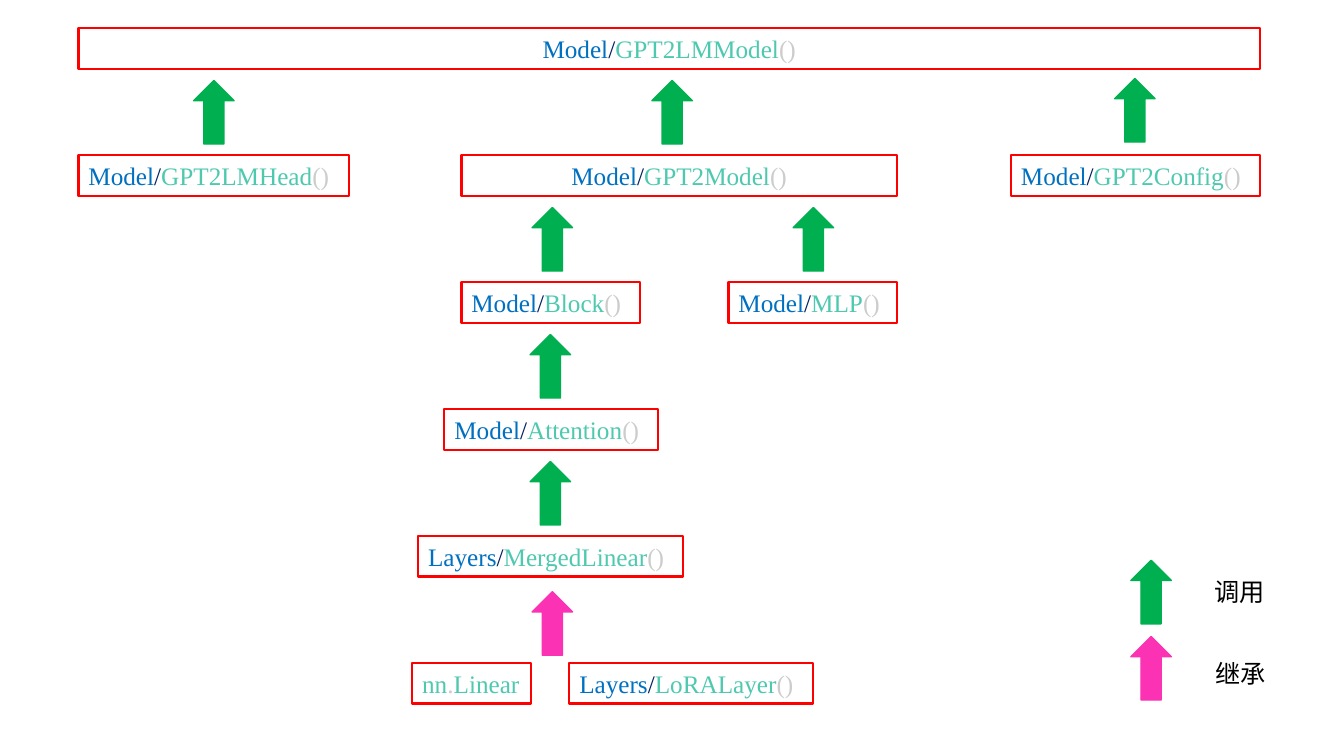
import pptx
import pptx.dml.color
import pptx.enum.shapes
import pptx.enum.text
import pptx.oxml.ns
import pptx.util
from lxml import etree

Cm = pptx.util.Cm
COLOURS = {
    "module": "0070C0",
    "slash": "002060",
    "name": "4EC9B0",
    "mark": "CCCCCC",
    "border": "FF0000",
    "call": "00B050",
    "inherit": "FA32B3",
    "label": "000000",
}
LATIN = "Times New Roman"
CHINESE = "Noto Sans CJK SC"
LEFT = pptx.enum.text.PP_ALIGN.LEFT
CENTRE = pptx.enum.text.PP_ALIGN.CENTER
BOX_HEIGHT = 1.02
ROW_STEP = 3.2
ARROW_WIDTH, ARROW_HEIGHT = 1.02, 1.6

CLASS_ROWS = [
    [("Model/GPT2LMModel()", 0, 29.77, True)],
    [("Model/GPT2LMHead()", 0, 6.81, False),
     ("Model/GPT2Model()", 9.65, 10.97, True),
     ("Model/GPT2Config()", 23.5, 6.27, False)],
    [("Model/Block()", 9.65, 4.5, False),
     ("Model/MLP()", 16.38, 4.24, False)],
    [("Model/Attention()", 9.22, 5.38, False)],
    [("Layers/MergedLinear()", 8.56, 6.68, False)],
    [("nn.Linear", 8.41, 3, False),
     ("Layers/LoRALayer()", 12.37, 6.15, False)],
]
ARROW_ROWS = [
    [(2.9, 1.32, "call"), (14.45, 1.32, "call"), (26.11, 1.27, "call")],
    [(11.43, 1.32, "call"), (18.01, 1.32, "call")],
    [(11.38, 1.32, "call")],
    [(11.38, 1.32, "call")],
    [(11.43, 1.4, "inherit")],
]
LEGEND = [("call", "调用", 0, 1.85, 0.28), ("inherit", "继承", 1.92, 1.88, 2.34)]


def rgb(key):
    return pptx.dml.color.RGBColor.from_string(COLOURS[key])


def apply_format(target, values):
    for name, value in values.items():
        setattr(target, name, value)


def split_name(text):
    if "/" not in text:
        package_name, class_name = text.split(".")
        return [(package_name, "name"), (".", "mark"), (class_name, "name")]
    module, call = text.split("/")
    return [(module, "module"), ("/", "slash"),
            (call.removesuffix("()"), "name"), ("()", "mark")]


def add_text(page, box, pieces, font, centred=False):
    shape = page.shapes.add_textbox(*map(Cm, box))
    apply_format(shape.text_frame, {
        "word_wrap": centred,
        "auto_size": pptx.enum.text.MSO_AUTO_SIZE.SHAPE_TO_FIT_TEXT,
    })
    para = shape.text_frame.paragraphs[0]
    para.alignment = CENTRE if centred else LEFT
    for text, colour in pieces:
        span = para.add_run()
        span.text = text
        apply_format(span.font, {"size": pptx.util.Pt(18), "name": font})
        span.font.color.rgb = rgb(colour)
        east_asian = etree.SubElement(span.font._element, pptx.oxml.ns.qn("a:ea"))
        east_asian.set("typeface", font)
    return shape


def add_arrow(page, left, top, colour):
    arrow = page.shapes.add_shape(
        pptx.enum.shapes.MSO_SHAPE.UP_ARROW,
        *map(Cm, (left, top, ARROW_WIDTH, ARROW_HEIGHT)))
    arrow.shadow.inherit = False
    arrow.fill.solid()
    arrow.fill.fore_color.rgb = rgb(colour)
    arrow.line.color.rgb = rgb(colour)
    arrow.line.width = pptx.util.Pt(1)


def add_class_tree(page, left, top):
    for row, classes in enumerate(CLASS_ROWS):
        for text, offset, width, centred in classes:
            box = (left + offset, top + row * ROW_STEP, width, BOX_HEIGHT)
            shape = add_text(page, box, split_name(text), LATIN, centred)
            shape.line.color.rgb = rgb("border")
            shape.line.width = pptx.util.Pt(1.5)
    for row, arrows in enumerate(ARROW_ROWS):
        for offset, drop, colour in arrows:
            add_arrow(page, left + offset, top + row * ROW_STEP + drop, colour)


def add_legend(page, left, top):
    for colour, label, arrow_drop, label_offset, label_drop in LEGEND:
        add_arrow(page, left, top + arrow_drop, colour)
        box = (left + label_offset, top + label_drop, 1.8, BOX_HEIGHT)
        add_text(page, box, [(label, "label")], CHINESE)


def main():
    deck = pptx.Presentation()
    apply_format(deck, {"slide_width": Cm(33.87), "slide_height": Cm(19.05)})
    page = deck.slides.add_slide(deck.slide_layouts[6])
    add_class_tree(page, 1.98, 0.71)
    add_legend(page, 28.5, 14.12)
    deck.save("out.pptx")


if __name__ == "__main__":
    main()
